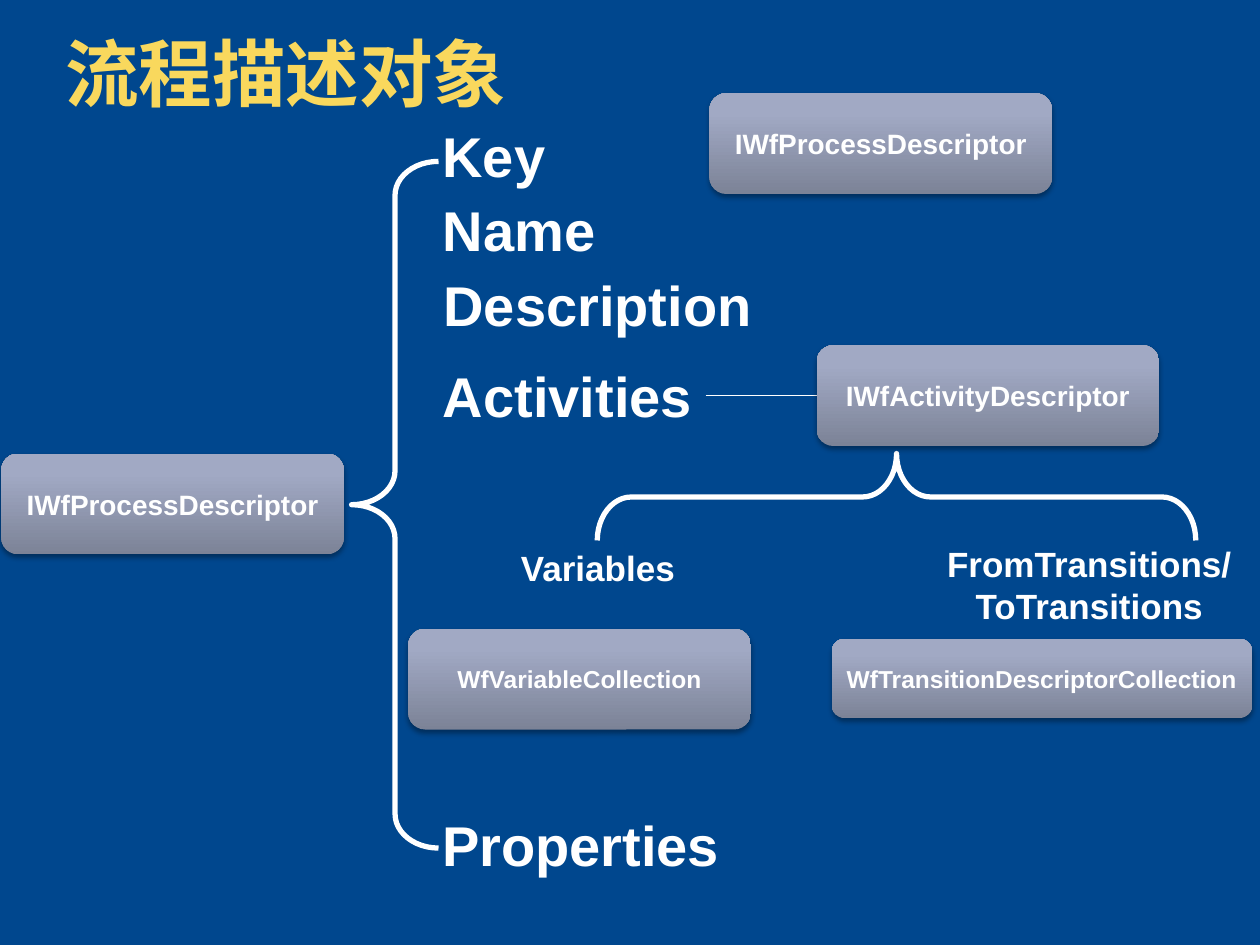
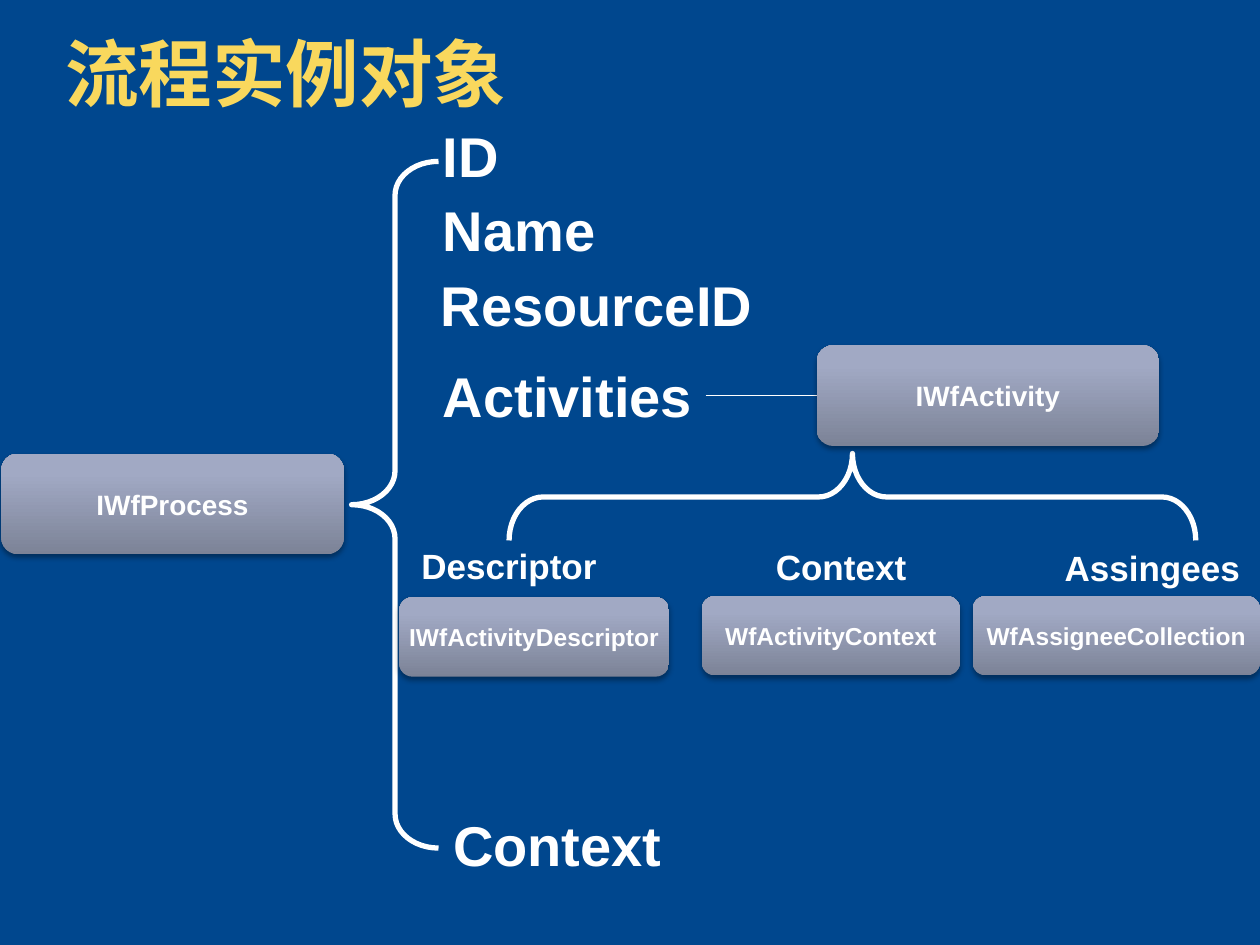
from dataclasses import dataclass

from lxml.etree import SubElement
from pptx import Presentation
from pptx.dml.color import RGBColor as Color
from pptx.enum.shapes import MSO_CONNECTOR as Connector, MSO_SHAPE as Shape
from pptx.enum.text import MSO_ANCHOR as Anchor, MSO_AUTO_SIZE as AutoSize, PP_ALIGN as Align
from pptx.oxml.ns import qn
from pptx.util import Pt


@dataclass(frozen=True)
class Theme:
    """Colours, font and type sizes of the deck."""
    background: str = "00478E"
    title: str = "F9D85D"
    ink: str = "FFFFFF"
    shadow: str = "000000"
    shadow_opacity: int = 35
    gradient: tuple = ((0, "7C8397"), (80, "A1A9C4"), (100, "A1AAC6"))
    font: str = "Arial"
    title_size: int = 42
    field_size: int = 32
    member_size: int = 20
    class_size: int = 16
    small_class_size: int = 14
    brace_width: float = 3
    link_width: float = 0.75


@dataclass(frozen=True)
class Label:
    """A line of text and its frame in points."""
    text: str
    left: float
    top: float
    width: float
    height: float
    size: int
    wrap: bool = False


@dataclass(frozen=True)
class ClassBox:
    """A rounded box naming a type."""
    text: str
    left: float
    top: float
    width: float = 195.8
    height: float = 57.6
    size: int = Theme.class_size


@dataclass(frozen=True)
class ObjectSlide:
    """An object, its fields, and the members of its activities."""
    title: str
    boxes: list
    fields: list
    members: list
    branch_left: float


THEME = Theme()
BRACE_DEPTH = 49.7
BRACE_CURVE = 0.391
BRANCH_RIGHT, BRANCH_MIDDLE = 683.3, 284
ROOT_AT = (0.7, 259.2)
ACTIVITY_AT = (466.6, 197.3)
LINK_START, LINK_Y = 403.2, 226.1
FIELD_TOPS = (66.2, 108, 151.2, 203, 459.4)


def field_labels(*rows):
    """Place the (text, left, width) rows at the shared field heights."""
    return [Label(text, left, top, width, 46.1, THEME.field_size)
            for (text, left, width), top in zip(rows, FIELD_TOPS)]


def member(text: str, left: float, top: float, width: float,
           height: float = 31.7, wrap: bool = False) -> Label:
    """Describe a member caption under the branch brace."""
    return Label(text, left, top, width, height, THEME.member_size, wrap)


def member_box(text: str, left: float, top: float, width: float,
               height: float = 45.4) -> ClassBox:
    """Describe the type box below a member caption."""
    return ClassBox(text, left, top, width, height, THEME.small_class_size)


def write(shape, text: str, size: int, color: str, align, wrap: bool):
    """Put one bold paragraph into a shape and return it."""
    frame = shape.text_frame
    frame.text = text
    frame.word_wrap = wrap
    para = frame.paragraphs[0]
    para.alignment = align
    for span in para.runs:
        span.font.name = THEME.font
        span.font.size = Pt(size)
        span.font.bold = True
        span.font.color.rgb = Color.from_string(color)
    return para


def add_label(page, label: Label, color: str = THEME.ink, align=Align.CENTER):
    """Draw a text box that grows with its text; return its paragraph."""
    box = page.shapes.add_textbox(Pt(label.left), Pt(label.top),
                                  Pt(label.width), Pt(label.height))
    para = write(box, label.text, label.size, color, align, label.wrap)
    box.text_frame.auto_size = AutoSize.SHAPE_TO_FIT_TEXT
    return para


def add_title(page, text: str) -> None:
    """Draw the slide title."""
    label = Label(text, 30.2, 18, 591.1, 53.3, THEME.title_size, True)
    add_label(page, label, THEME.title, Align.LEFT).line_spacing = 0.9


def fill_gradient(shape) -> None:
    """Fill a shape with the theme gradient, running from bottom to top."""
    shape.fill.gradient()
    shape.fill.gradient_angle = 90
    stops = shape.element.spPr.find(qn("a:gradFill")).find(qn("a:gsLst"))
    for stop in list(stops):
        stops.remove(stop)
    for percent, color in THEME.gradient:
        stop = SubElement(stops, qn("a:gs"), pos=str(percent * 1000))
        SubElement(stop, qn("a:srgbClr"), val=color)


def add_shadow(shape) -> None:
    """Give a shape the soft shadow that falls straight down."""
    shape.shadow.inherit = False
    effects = shape.element.spPr.find(qn("a:effectLst"))
    shadow = SubElement(effects, qn("a:outerShdw"), blurRad=str(Pt(3.1)),
                        dist=str(Pt(1.8)), dir="5400000", rotWithShape="0")
    color = SubElement(shadow, qn("a:srgbClr"), val=THEME.shadow)
    SubElement(color, qn("a:alpha"), val=str(THEME.shadow_opacity * 1000))


def add_class_box(page, item: ClassBox) -> None:
    """Draw a rounded, shaded box with a type name."""
    box = page.shapes.add_shape(Shape.ROUNDED_RECTANGLE, Pt(item.left), Pt(item.top),
                                Pt(item.width), Pt(item.height))
    fill_gradient(box)
    box.line.fill.background()
    add_shadow(box)
    write(box, item.text, item.size, THEME.ink, Align.CENTER, False)
    box.text_frame.vertical_anchor = Anchor.MIDDLE


def add_brace(page, left: float, top: float, length: float, rotation: float = 0) -> None:
    """Draw a left brace, turned if asked."""
    brace = page.shapes.add_shape(Shape.LEFT_BRACE, Pt(left), Pt(top),
                                  Pt(BRACE_DEPTH), Pt(length))
    brace.adjustments[0] = BRACE_CURVE
    brace.rotation = rotation
    brace.shadow.inherit = False
    brace.fill.background()
    brace.line.color.rgb = Color.from_string(THEME.ink)
    brace.line.width = Pt(THEME.brace_width)


def add_branch_brace(page, left: float) -> None:
    """Draw the lying brace from a left end to the shared right end."""
    length = BRANCH_RIGHT - left
    center = (left + BRANCH_RIGHT) / 2
    add_brace(page, center - BRACE_DEPTH / 2, BRANCH_MIDDLE - length / 2, length, 90)


def add_link(page) -> None:
    """Draw the line from the Activities field to its type."""
    link = page.shapes.add_connector(Connector.STRAIGHT, Pt(LINK_START), Pt(LINK_Y),
                                     Pt(ACTIVITY_AT[0]), Pt(LINK_Y))
    link.line.color.rgb = Color.from_string(THEME.ink)
    link.line.width = Pt(THEME.link_width)
    SubElement(link.element.spPr, qn("a:effectLst"))


def add_object_slide(deck, content: ObjectSlide) -> None:
    """Build one slide from its description."""
    page = deck.slides.add_slide(deck.slide_layouts[6])
    page.background.fill.solid()
    page.background.fill.fore_color.rgb = Color.from_string(THEME.background)
    add_title(page, content.title)
    add_brace(page, 200.9, 92.2, 392.4)
    add_branch_brace(page, content.branch_left)
    add_link(page)
    for box in content.boxes:
        add_class_box(page, box)
    for label in content.fields + content.members:
        add_label(page, label)


SLIDES = (
    ObjectSlide(
        title="流程描述对象",
        boxes=[ClassBox("IWfProcessDescriptor", *ROOT_AT),
               ClassBox("IWfProcessDescriptor", 405.4, 53.3),
               ClassBox("IWfActivityDescriptor", *ACTIVITY_AT),
               member_box("WfVariableCollection", 233.3, 359.3, 195.8, 57.6),
               member_box("WfTransitionDescriptorCollection", 475.2, 365, 240.5)],
        fields=field_labels(("Key", 245.5, 73.4), ("Name", 245.5, 102.2),
                            ("Description", 245.5, 192.2), ("Activities", 245.5, 157.7),
                            ("Properties", 244.8, 174.2)),
        members=[member("Variables", 290.2, 308.9, 103),
                 member("FromTransitions/ ToTransitions", 524.9, 306.7, 195.1, 55.4, True)],
        branch_left=341.3),
    ObjectSlide(
        title="流程实例对象",
        boxes=[ClassBox("IWfProcess", *ROOT_AT),
               ClassBox("IWfActivity", *ACTIVITY_AT),
               member_box("IWfActivityDescriptor", 228.2, 341.3, 154.1),
               member_box("WfActivityContext", 401, 340.6, 147.6),
               member_box("WfAssigneeCollection", 555.8, 340.6, 164.2)],
        fields=field_labels(("ID", 245.5, 46.8), ("Name", 245.5, 102.2),
                            ("ResourceID", 244.1, 193.7), ("Activities", 245.5, 157.7),
                            ("Context", 251.3, 134.6)),
        members=[member("Descriptor", 233.3, 307.4, 115.2),
                 member("Context", 435.6, 308.2, 90),
                 member("Assingees", 597.6, 308.9, 121.7, wrap=True)],
        branch_left=290.9),
)

deck = Presentation()
deck.slide_width, deck.slide_height = Pt(720), Pt(540)
for slide_content in SLIDES:
    add_object_slide(deck, slide_content)
deck.save("out.pptx")
